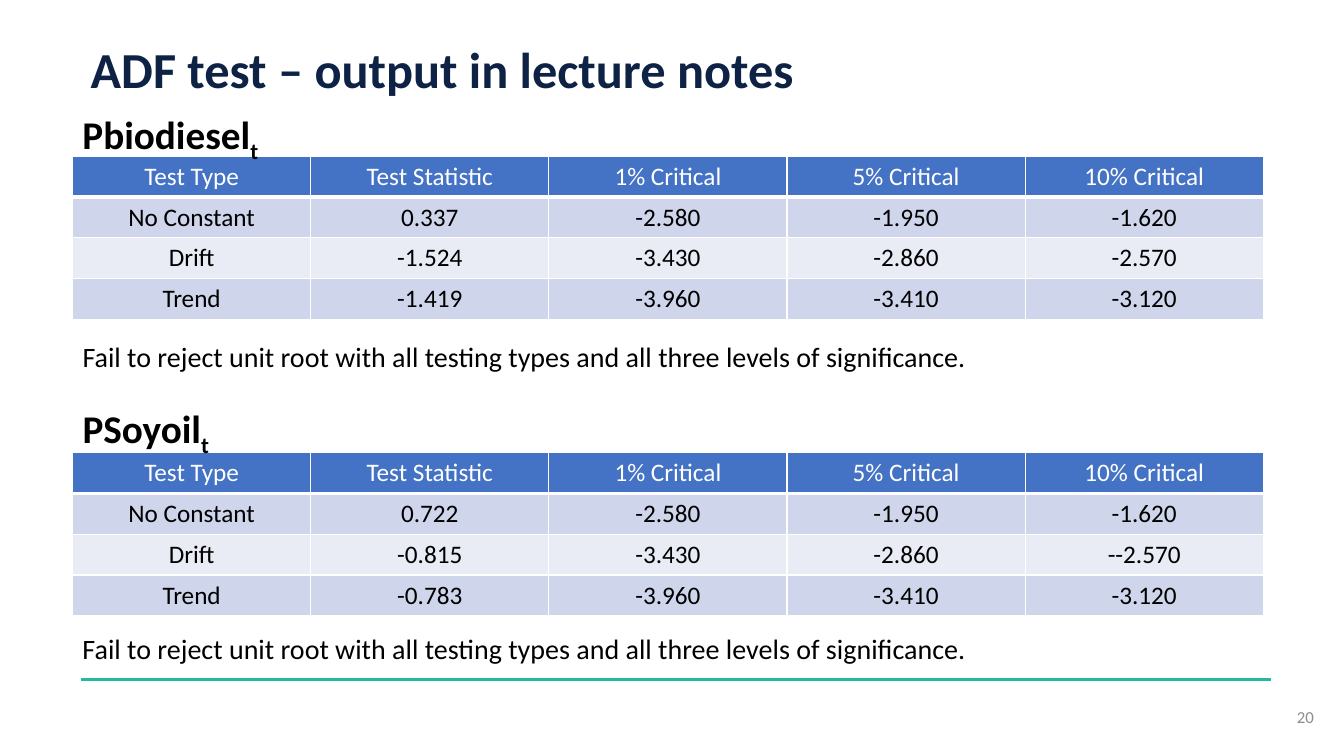
"""Build a slide comparing ADF test output for two price series."""
from typing import Any, NamedTuple

from lxml.etree import SubElement
from pptx import Presentation
from pptx.dml.color import RGBColor
from pptx.enum.shapes import MSO_CONNECTOR
from pptx.enum.text import MSO_ANCHOR as Anchor, MSO_AUTO_SIZE as Fit, PP_ALIGN as Align
from pptx.oxml.ns import qn
from pptx.util import Inches, Pt

NAVY = RGBColor(0x0D, 0x22, 0x44)
TEAL = RGBColor(0x21, 0xBA, 0x9C)
GREY = RGBColor(0x8C, 0x8C, 0x8C)
BLUE = RGBColor(0x44, 0x72, 0xC4)
BAND_DARK = RGBColor(0xCF, 0xD5, 0xEA)
BAND_LIGHT = RGBColor(0xE9, 0xEB, 0xF5)
BLACK = RGBColor(0, 0, 0)
WHITE = RGBColor(255, 255, 255)

COL = ROW = Inches(0.1)
LEFT, MARGIN, WIDTH = 7.2, 8, 118.1
TABLE_ROWS = 16.2

TITLE = {"name": "Calibri", "size": Pt(36), "bold": True, "color": NAVY}
HEADING = {"name": "Calibri", "size": Pt(28), "bold": True, "color": BLACK}
BODY = {"name": "Calibri", "size": Pt(20), "bold": False, "color": BLACK}
CELL = BODY | {"size": Pt(18)}
HEADER = CELL | {"color": WHITE}
NUMBER = BODY | {"size": Pt(12), "color": GREY}

COLUMNS = ("Test Type", "Test Statistic", "1% Critical", "5% Critical", "10% Critical")
FINDING = "Fail to reject unit root with all testing types and all three levels of significance."


class Box(NamedTuple):
    """Place on the slide in grid columns and rows."""
    col: float
    row: float
    cols: float
    rows: float

    def emu(self) -> tuple[int, int, int, int]:
        """Return left, top, width and height."""
        return (round(self.col * COL), round(self.row * ROW),
                round(self.cols * COL), round(self.rows * ROW))


class Series(NamedTuple):
    """One tested price series with its table and finding."""
    name: str
    heading: Box
    table_row: float
    finding: Box
    results: tuple[tuple[str, ...], ...]


SERIES = (
    Series("Pbiodiesel", Box(LEFT, 10.5, 39.6, 5.7), 15.5, Box(LEFT, 33.2, WIDTH, 4.4), (
        ("No Constant", "0.337", "-2.580", "-1.950", "-1.620"),
        ("Drift", "-1.524", "-3.430", "-2.860", "-2.570"),
        ("Trend", "-1.419", "-3.960", "-3.410", "-3.120"))),
    Series("PSoyoil", Box(LEFT, 39.6, 14.8, 5.7), 44.9, Box(LEFT, 62.2, 111.4, 4.4), (
        ("No Constant", "0.722", "-2.580", "-1.950", "-1.620"),
        ("Drift", "-0.815", "-3.430", "-2.860", "--2.570"),
        ("Trend", "-0.783", "-3.960", "-3.410", "-3.120"))),
)


def add_run(p: Any, text: str, style: dict[str, Any]) -> Any:
    """Add a run formatted from a dict of font values."""
    r = p.add_run()
    r.text = text
    for key, value in style.items():
        if key == "color":
            r.font.color.rgb = value
        else:
            setattr(r.font, key, value)
    return r


def add_text(slide: Any, box: Box, text: str, style: dict[str, Any],
             align: Align = Align.LEFT, anchor: Anchor = Anchor.TOP) -> Any:
    """Add a wrapping text box and return its paragraph."""
    tf = slide.shapes.add_textbox(*box.emu()).text_frame
    tf.word_wrap, tf.vertical_anchor = True, anchor
    p = tf.paragraphs[0]
    p.alignment = align
    add_run(p, text, style)
    return p


def set_borders(cell: Any, bottom: int) -> None:
    """Give a cell white borders, with its own bottom width in points."""
    tc_pr = cell._tc.get_or_add_tcPr()
    for side, width in {"L": 1, "R": 1, "T": 1, "B": bottom}.items():
        ln = SubElement(tc_pr, qn(f"a:ln{side}"), w=str(Pt(width)))
        SubElement(SubElement(ln, qn("a:solidFill")), qn("a:srgbClr"), val=str(WHITE))


def add_results(slide: Any, series: Series) -> None:
    """Add the banded table of test results."""
    rows = (COLUMNS, *series.results)
    box = Box(LEFT, series.table_row, WIDTH, TABLE_ROWS)
    table = slide.shapes.add_table(len(rows), len(COLUMNS), *box.emu()).table
    for i, values in enumerate(rows):
        fill = BLUE if i == 0 else BAND_DARK if i % 2 else BAND_LIGHT
        for j, value in enumerate(values):
            cell = table.cell(i, j)
            set_borders(cell, 1 if i else 3)
            cell.fill.solid()
            cell.fill.fore_color.rgb = fill
            p = cell.text_frame.paragraphs[0]
            p.alignment = Align.CENTER
            add_run(p, value, CELL if i else HEADER)


def add_title(slide: Any, box: Box, text: str) -> None:
    """Move and format the title placeholder."""
    sp = slide.shapes.title
    sp.left, sp.top, sp.width, sp.height = box.emu()
    tf = sp.text_frame
    tf.auto_size, tf.vertical_anchor = Fit.NONE, Anchor.TOP
    p = tf.paragraphs[0]
    p.alignment, p.line_spacing = Align.LEFT, 0.9
    add_run(p, text, TITLE)


def add_rule(slide: Any, box: Box) -> None:
    """Add the teal rule above the footer."""
    x, y, width, height = box.emu()
    line = slide.shapes.add_connector(MSO_CONNECTOR.STRAIGHT, x, y, x + width, y + height)
    line.line.color.rgb, line.line.width = TEAL, Pt(2)
    SubElement(line._element.spPr, qn("a:effectLst"))


def add_series(slide: Any, series: Series) -> None:
    """Add a series heading, its results and the finding."""
    add_results(slide, series)
    p = add_text(slide, series.heading, series.name, HEADING)
    r = add_run(p, "t", HEADING)
    r._r.get_or_add_rPr().set("baseline", "-25000")
    add_text(slide, series.finding, FINDING, BODY)


def main() -> None:
    """Build and save the slide."""
    prs = Presentation()
    prs.slide_width, prs.slide_height = Inches(13.33), Inches(7.5)
    slide = prs.slides.add_slide(prs.slide_layouts.get_by_name("Title Only"))
    add_rule(slide, Box(MARGIN, 67.4, WIDTH, 0))
    add_title(slide, Box(MARGIN, 4, WIDTH, 10), "ADF test – output in lecture notes")
    add_text(slide, Box(101.3, 69.1, 30, 4), "20", NUMBER, Align.RIGHT, Anchor.MIDDLE)
    for series in SERIES:
        add_series(slide, series)
    prs.save("out.pptx")


main()
